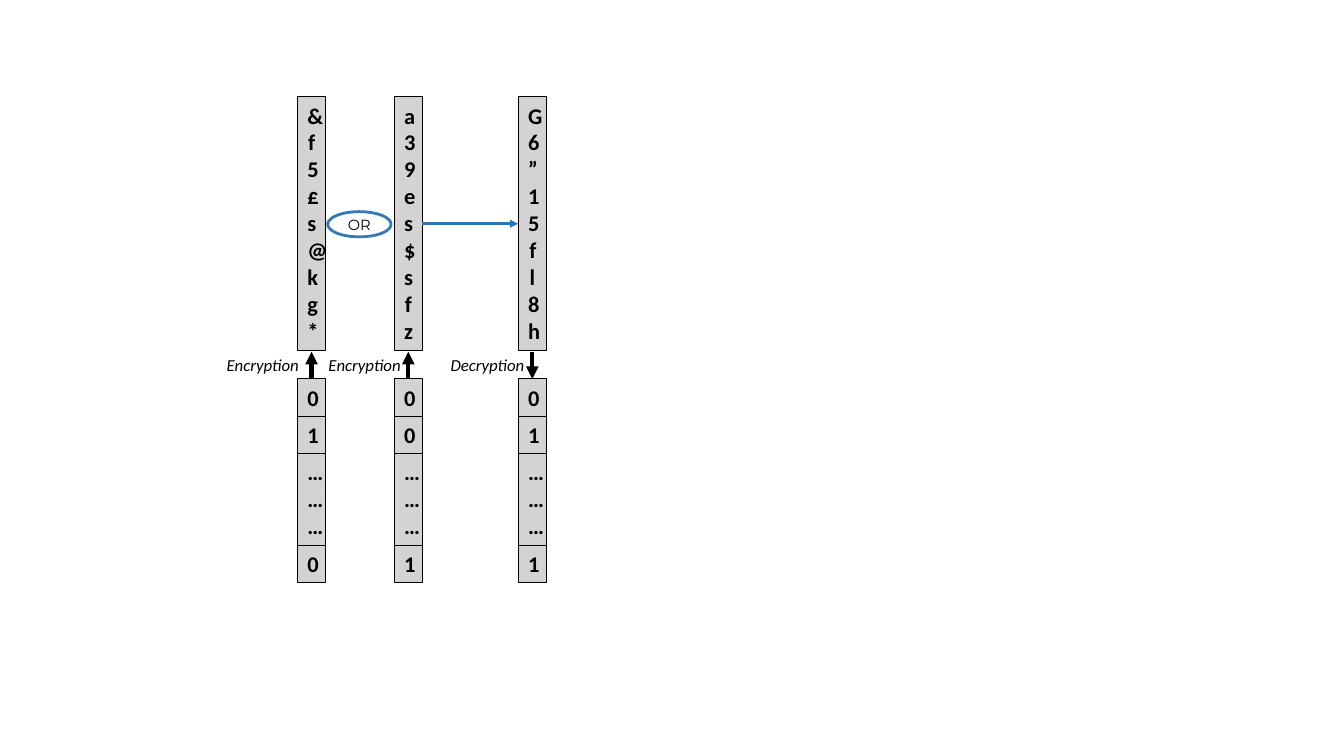
"""Builds a slide of three encrypted bit columns joined by an OR."""
from dataclasses import dataclass

from lxml import etree
from pptx import Presentation
from pptx.dml.color import RGBColor
from pptx.enum.shapes import MSO_CONNECTOR, MSO_SHAPE
from pptx.enum.text import MSO_ANCHOR, MSO_AUTO_SIZE, PP_ALIGN
from pptx.oxml.ns import qn
from pptx.util import Pt

RECTANGLE, OVAL = MSO_SHAPE.RECTANGLE, MSO_SHAPE.OVAL
STRAIGHT = MSO_CONNECTOR.STRAIGHT
TOP, MIDDLE = MSO_ANCHOR.TOP, MSO_ANCHOR.MIDDLE
LEFT, CENTER = PP_ALIGN.LEFT, PP_ALIGN.CENTER
GROW = MSO_AUTO_SIZE.SHAPE_TO_FIT_TEXT
EMU_PER_PX = 9144


@dataclass(frozen=True)
class Theme:
    """Colours, fonts and sizes of the slide."""
    ink: RGBColor = RGBColor(0x00, 0x00, 0x00)
    grey: RGBColor = RGBColor(0xAF, 0xAB, 0xAB)
    blue: RGBColor = RGBColor(0x2E, 0x75, 0xB6)
    body_font: str = "Calibri"
    gate_font: str = "Montserrat"
    cell_size: float = 16
    label_size: float = 12
    gate_size: float = 10.5
    cell_opacity: int = 53
    gate_opacity: int = 97


def px(*lengths):
    """Turn px lengths into EMU."""
    return [length * EMU_PER_PX for length in lengths]


def set_opacity(fill_parent, percent):
    """Make the solid fill under an element partly transparent."""
    color = fill_parent.find(qn("a:solidFill"))[0]
    etree.SubElement(color, qn("a:alpha")).set("val", str(percent * 1000))


class Diagram:
    """Draws the parts of the diagram on one slide in one style."""

    def __init__(self, slide, theme):
        """Keep the slide's shapes and the theme."""
        self.shapes = slide.shapes
        self.theme = theme

    def set_text(self, shape, text, size, font, align, anchor):
        """Put one styled paragraph in a shape and return its font."""
        frame = shape.text_frame
        frame.word_wrap = True
        frame.vertical_anchor = anchor
        paragraph = frame.paragraphs[0]
        paragraph.text = text
        paragraph.alignment = align
        paragraph.font.size = Pt(size)
        paragraph.font.name = font
        paragraph.font.color.rgb = self.theme.ink
        return paragraph.font

    def cell(self, left, top, width, height, text):
        """Draw a grey box whose text runs down letter by letter."""
        theme = self.theme
        box = self.shapes.add_shape(RECTANGLE, *px(left, top, width, height))
        box.shadow.inherit = False
        box.fill.solid()
        box.fill.fore_color.rgb = theme.grey
        set_opacity(box.element.spPr, theme.cell_opacity)
        box.line.color.rgb = theme.ink
        box.line.width = Pt(0.75)
        font = self.set_text(box, text, theme.cell_size, theme.body_font, CENTER, TOP)
        font.bold = True
        box.text_frame.auto_size = GROW

    def gate(self, left, top, width, height, text):
        """Draw an outlined oval with a centred word."""
        theme = self.theme
        oval = self.shapes.add_shape(OVAL, *px(left, top, width, height))
        oval.shadow.inherit = False
        oval.fill.background()
        oval.line.color.rgb = theme.blue
        oval.line.width = Pt(2)
        set_opacity(oval.element.spPr.find(qn("a:ln")), theme.gate_opacity)
        frame = oval.text_frame
        frame.margin_left = frame.margin_right = 0
        frame.margin_top = frame.margin_bottom = 0
        self.set_text(oval, text, theme.gate_size, theme.gate_font, CENTER, MIDDLE)

    def label(self, left, top, width, height, text):
        """Add an italic caption."""
        theme = self.theme
        caption = self.shapes.add_textbox(*px(left, top, width, height))
        font = self.set_text(caption, text, theme.label_size, theme.body_font, LEFT, TOP)
        font.italic = True
        caption.text_frame.auto_size = GROW

    def arrow(self, start, end, color, width):
        """Draw a straight arrow from start to end."""
        arrow = self.shapes.add_connector(STRAIGHT, *px(*start, *end))
        arrow.line.color.rgb = color
        arrow.line.width = Pt(width)
        properties = arrow.element.spPr
        line = properties.find(qn("a:ln"))
        etree.SubElement(line, qn("a:tailEnd")).set("type", "triangle")
        etree.SubElement(properties, qn("a:effectLst"))


CELL_WIDTH = 28
CIPHER_TOP, CIPHER_HEIGHT = 96, 252
BITS_TOP, BIT_HEIGHT, GAP_HEIGHT = 376, 37, 91
ARROW_TOP, LABEL_TOP, LABEL_HEIGHT = 349, 347, 30
GATE_LINE = 222
ELLIPSIS = "………"

COLUMNS = [
    (295, "&f5£s@kg*", ("0", "1", ELLIPSIS, "0"), "Encryption", 215, 114),
    (391, "a39es$sfz", ("0", "0", ELLIPSIS, "1"), "Encryption", 316, 100),
    (514, "G6”15fl8h", ("0", "1", ELLIPSIS, "1"), "Decryption", 437, 100),
]


def main():
    """Build and save the slide."""
    deck = Presentation()
    deck.slide_width, deck.slide_height = px(1333, 750)
    theme = Theme()
    diagram = Diagram(deck.slides.add_slide(deck.slide_layouts[6]), theme)

    for left, cipher, bits, step, step_left, step_width in COLUMNS:
        diagram.cell(left, CIPHER_TOP, CELL_WIDTH, CIPHER_HEIGHT, cipher)
        bit_top = BITS_TOP
        for bit in bits:
            height = GAP_HEIGHT if bit == ELLIPSIS else BIT_HEIGHT
            diagram.cell(left, bit_top, CELL_WIDTH, height, bit)
            bit_top += height
        middle = left + CELL_WIDTH // 2
        upper, lower = (middle, ARROW_TOP), (middle, BITS_TOP)
        ends = (lower, upper) if step == "Encryption" else (upper, lower)
        diagram.arrow(*ends, theme.ink, 3)
        diagram.label(step_left, LABEL_TOP, step_width, LABEL_HEIGHT, step)

    second_left, result_left = COLUMNS[1][0], COLUMNS[2][0]
    diagram.gate(325, 210, 63, 25, "OR")
    diagram.arrow((second_left + CELL_WIDTH, GATE_LINE), (result_left, GATE_LINE),
                  theme.blue, 2)
    deck.save("out.pptx")


if __name__ == "__main__":
    main()
